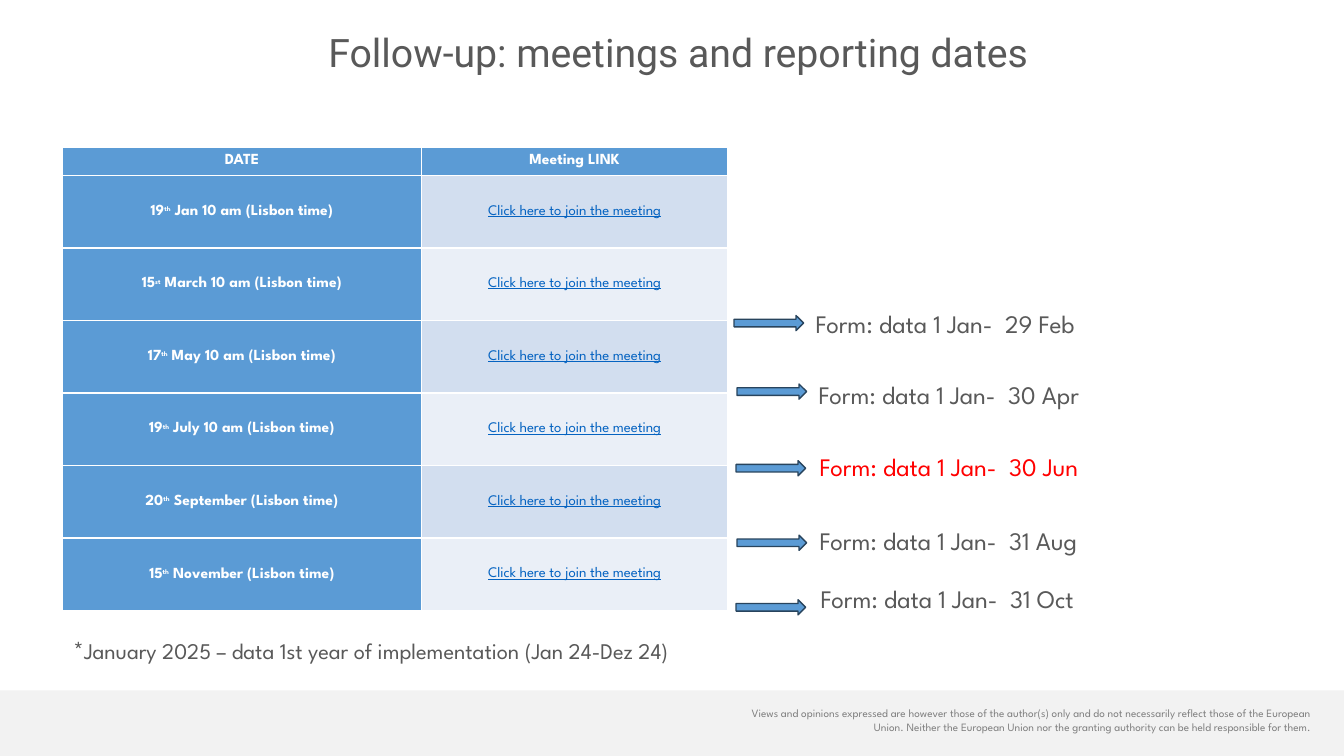
from pptx import Presentation
from pptx.dml.color import RGBColor
from pptx.enum.shapes import MSO_SHAPE
from pptx.enum.text import MSO_ANCHOR, PP_ALIGN
from pptx.util import Inches, Pt

WHITE = RGBColor(0xFF, 0xFF, 0xFF)
BLUE = RGBColor(0x5B, 0x9B, 0xD5)
NAVY = RGBColor(0x28, 0x44, 0x5D)
LINK_BLUE = RGBColor(0x05, 0x63, 0xC1)
BANDS = [RGBColor(0xD2, 0xDE, 0xEF), RGBColor(0xEA, 0xEF, 0xF7)]
DARK_GREY = RGBColor(0x59, 0x59, 0x59)
MID_GREY = RGBColor(0x7F, 0x7F, 0x7F)
PALE_GREY = RGBColor(0xF2, 0xF2, 0xF2)
RED = RGBColor(0xFF, 0x00, 0x00)
BODY_FONT, TITLE_FONT = "League Spartan", "Roboto"

TITLE = "Follow-up: meetings and reporting dates"
HEADINGS = ["DATE", "Meeting LINK"]
MEETINGS = [
    ("19", "th", " Jan 10 am (Lisbon time)"),
    ("15", "st", " March 10 am (Lisbon time)"),
    ("17", "th", " May 10 am (Lisbon time)"),
    ("19", "th", " July 10 am (Lisbon time)"),
    ("20", "th", " September (Lisbon time)"),
    ("15", "th", " November (Lisbon time)"),
]
JOIN = "Click here to join the meeting"
FORMS = [
    ("29 Feb", DARK_GREY, (7.28, 3.13), (7.99, 3.01)),
    ("30 Apr", DARK_GREY, (7.31, 3.81), (8.02, 3.71)),
    ("30 Jun", RED, (7.30, 4.57), (8.03, 4.43)),
    ("31 Aug", DARK_GREY, (7.31, 5.31), (8.03, 5.16)),
    ("31 Oct", DARK_GREY, (7.30, 5.95), (8.04, 5.74)),
]
FOOTNOTE = [("*", 18), ("January 2025 – data 1st year of implementation (Jan 24-Dez 24)", 16)]
DISCLAIMER = (
    "Views and opinions expressed are however those of the author(s) only and do not "
    "necessarily reflect those of the European Union. Neither the European Union nor the "
    "granting authority can be held responsible for them."
)

SLIDE_W, SLIDE_H = 13.33, 7.5
BAND_TOP = 6.85
COLUMNS = [3.56, 3.04]
HEADING_H, MEETING_H = 0.28, 0.72
ARROW_SIZE, FORM_SIZE = (0.69, 0.15), (3.49, 0.4)


def box(*lengths):
    return [Inches(length) for length in lengths]


def add_run(paragraph, text, size, color, bold=False, face=BODY_FONT):
    run = paragraph.add_run()
    run.text = text
    run.font.name, run.font.size, run.font.bold = face, Pt(size), bold
    run.font.color.rgb = color
    return run


def add_text(slide, place, pieces, color, align=PP_ALIGN.LEFT):
    frame = slide.shapes.add_textbox(*box(*place)).text_frame
    frame.word_wrap = True
    paragraph = frame.paragraphs[0]
    paragraph.alignment = align
    for text, size in pieces:
        add_run(paragraph, text, size, color)


def add_block(slide, kind, place, fill, outline=None):
    block = slide.shapes.add_shape(kind, *box(*place))
    block.shadow.inherit = False
    block.fill.solid()
    block.fill.fore_color.rgb = fill
    if outline is None:
        block.line.fill.background()
    else:
        block.line.color.rgb = outline
        block.line.width = Pt(1)


def open_cell(cell, fill):
    cell.fill.solid()
    cell.fill.fore_color.rgb = fill
    cell.vertical_anchor = MSO_ANCHOR.MIDDLE
    cell.margin_left = cell.margin_right = Inches(0.07)
    cell.margin_top = cell.margin_bottom = 0
    paragraph = cell.text_frame.paragraphs[0]
    paragraph.alignment = PP_ALIGN.CENTER
    return paragraph


def add_title(slide):
    title = slide.shapes.title
    title.left, title.top, title.width, title.height = box(1.45, 0.28, 10.55, 0.53)
    title.text_frame.vertical_anchor = MSO_ANCHOR.TOP
    heading = title.text_frame.paragraphs[0]
    heading.alignment, heading.line_spacing = PP_ALIGN.CENTER, 0.9
    add_run(heading, TITLE, 28, DARK_GREY, face=TITLE_FONT)


def add_meetings(slide):
    height = HEADING_H + MEETING_H * len(MEETINGS)
    table = slide.shapes.add_table(
        len(MEETINGS) + 1, len(COLUMNS), *box(0.62, 1.46, sum(COLUMNS), height)
    ).table
    table.first_col = True
    for column, width in zip(table.columns, COLUMNS):
        column.width = Inches(width)
    for row in table.rows:
        row.height = Inches(MEETING_H)
    table.rows[0].height = Inches(HEADING_H)

    for col, heading in enumerate(HEADINGS):
        add_run(open_cell(table.cell(0, col), BLUE), heading, 11, WHITE, True)
    for row, (day, suffix, rest) in enumerate(MEETINGS, 1):
        date = open_cell(table.cell(row, 0), BLUE)
        add_run(date, day, 11, WHITE, True)
        raised = add_run(date, suffix, 8.5, WHITE, True)
        raised.font._element.set("baseline", "30000")
        add_run(date, rest, 11, WHITE, True)
        link = open_cell(table.cell(row, 1), BANDS[(row - 1) % 2])
        add_run(link, JOIN, 10.5, LINK_BLUE).font.underline = True


def main():
    deck = Presentation()
    deck.slide_width, deck.slide_height = box(SLIDE_W, SLIDE_H)
    slide = deck.slides.add_slide(deck.slide_layouts[5])

    add_block(slide, MSO_SHAPE.RECTANGLE,
              (0, BAND_TOP, SLIDE_W, SLIDE_H - BAND_TOP), PALE_GREY)
    add_text(slide, (7.34, 6.96, 5.77, 0.5), [(DISCLAIMER, 8)], MID_GREY, PP_ALIGN.RIGHT)
    add_title(slide)
    add_meetings(slide)
    for end, color, arrow_at, form_at in FORMS:
        add_block(slide, MSO_SHAPE.RIGHT_ARROW, arrow_at + ARROW_SIZE, BLUE, NAVY)
        add_text(slide, form_at + FORM_SIZE, [(f"Form: data 1 Jan-  {end}", 18)], color)
    add_text(slide, (0.63, 6.24, 7.9, 0.4), FOOTNOTE, DARK_GREY)
    deck.save("out.pptx")


if __name__ == "__main__":
    main()
